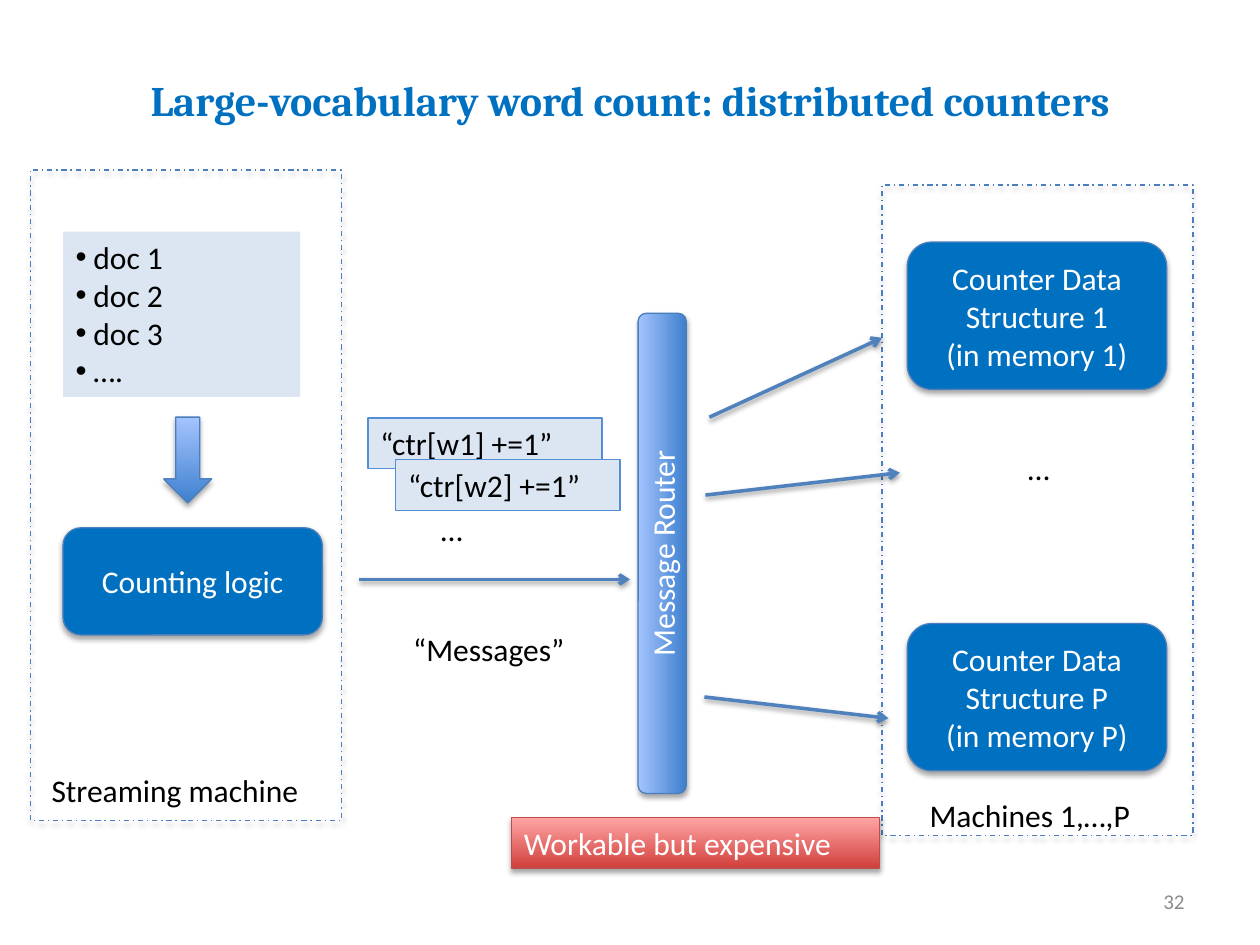
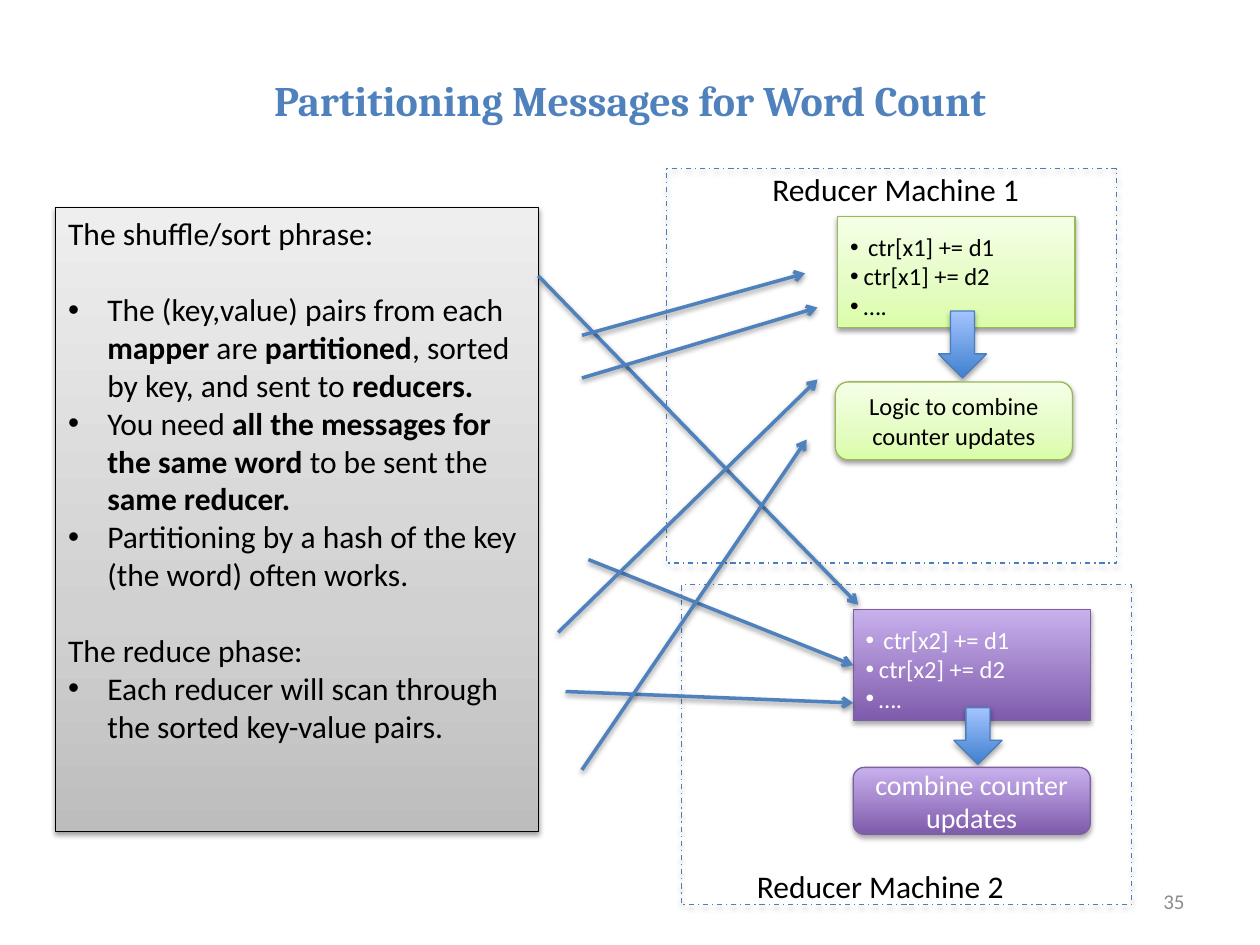
from dataclasses import dataclass

from lxml.etree import SubElement
from pptx import Presentation
from pptx.dml.color import RGBColor
from pptx.enum.dml import MSO_LINE
from pptx.enum.shapes import MSO_CONNECTOR, MSO_SHAPE
from pptx.enum.text import MSO_ANCHOR, MSO_AUTO_SIZE, PP_ALIGN
from pptx.oxml.ns import qn
from pptx.util import Cm, Pt


@dataclass(frozen=True)
class Theme:
    """Colours, fonts, type sizes and shadows shared by the slides."""
    title_font: str = "Cambria"
    body_font: str = "Calibri"
    title_pt: int = 24
    body_pt: int = 18
    logic_pt: int = 16
    small_pt: int = 14
    number_pt: int = 12
    line_pt: float = 0.75
    arrow_pt: float = 2
    blank_line_pt: int = 22
    black: str = "000000"
    white: str = "FFFFFF"
    grey: str = "8C8C8C"
    strong_blue: str = "0070C0"
    accent: str = "4F81BD"
    edge: str = "4B7EBC"
    pale: str = "DCE6F2"
    pale_edge: str = "558ED5"
    green_edge: str = "98B955"
    purple_edge: str = "7D60A0"
    red_edge: str = "BF4C48"
    blue_fade: tuple = ((0, "3F80CE"), (100, "A4C4FF"))
    red_fade: tuple = ((0, "D1403C"), (100, "FFA6A5"))
    purple_fade: tuple = ((0, "7F5BAB"), (100, "C8B0ED"))
    green_fade: tuple = ((0, "DAFDA7"), (35, "E4FCC2"), (100, "F5FFE7"))
    grey_fade: tuple = ((0, "BDBDBD"), (35, "D1D1D1"), (100, "EEEEEE"))
    soft_shadow: tuple = (35, 1.8)
    firm_shadow: tuple = (38, 1.6)


@dataclass(frozen=True)
class Para:
    """A paragraph whose runs alternate between regular and bold."""
    runs: tuple
    indent: float = 0
    before: float = 0
    bullet_pt: int = 0
    line_pt: float = 0


T = Theme()


def rgb(color):
    """Turn a hex string into a colour."""
    return RGBColor.from_string(color)


def cms(*values):
    """Turn numbers of centimetres into lengths."""
    return [Cm(v) for v in values]


def plain(*lines):
    """Make one unbulleted paragraph of each line."""
    return [Para((line,)) for line in lines]


def place(sp, box):
    """Move a shape to left, top, width, height."""
    sp.left, sp.top, sp.width, sp.height = cms(*box)


def add_shadow(effects, shadow):
    """Put a downward shadow into an effect list."""
    alpha, dist = shadow
    outer = SubElement(effects, qn("a:outerShdw"), blurRad=str(Pt(3.1)),
                       dist=str(Pt(dist)), dir="5400000", rotWithShape="0")
    clr = SubElement(outer, qn("a:srgbClr"), val=T.black)
    SubElement(clr, qn("a:alpha"), val=str(alpha * 1000))


def style(sp, fill=None, edge=None, shadow=None):
    """Set fill (none, solid or fade), outline and shadow."""
    if fill is None:
        sp.fill.background()
    elif isinstance(fill, str):
        sp.fill.solid()
        sp.fill.fore_color.rgb = rgb(fill)
    else:
        sp.fill.gradient()
        sp.fill.gradient_angle = 90
        stops = next(sp.element.iter(qn("a:gsLst")))
        stops.clear()
        for pos, color in fill:
            gs = SubElement(stops, qn("a:gs"), pos=str(pos * 1000))
            SubElement(gs, qn("a:srgbClr"), val=color)
    if edge:
        sp.line.color.rgb = rgb(edge)
        sp.line.width = Pt(T.line_pt)
    else:
        sp.line.fill.background()
    sp.shadow.inherit = False
    if shadow:
        add_shadow(next(sp.element.iter(qn("a:effectLst"))), shadow)


def set_bullet(p, para):
    """Give a paragraph its hanging bullet, or none."""
    pPr = p._p.get_or_add_pPr()
    pPr.set("marL", str(Cm(para.indent)))
    pPr.set("indent", str(-Cm(para.indent)))
    if not para.indent:
        SubElement(pPr, qn("a:buNone"))
        return
    if para.bullet_pt:
        SubElement(pPr, qn("a:buSzPts"), val=str(para.bullet_pt * 100))
    SubElement(pPr, qn("a:buFont"), typeface="Arial")
    SubElement(pPr, qn("a:buChar"), char="•")


def write(tf, paras, size=T.body_pt, color=T.black, align=PP_ALIGN.LEFT,
          anchor=MSO_ANCHOR.TOP, font=T.body_font):
    """Fill a text frame run by run."""
    tf.vertical_anchor = anchor
    for i, para in enumerate(paras):
        p = tf.add_paragraph() if i else tf.paragraphs[0]
        set_bullet(p, para)
        p.alignment = align
        p.space_before = Pt(para.before)
        if para.line_pt:
            p.line_spacing = Pt(para.line_pt)
        for k, text in enumerate(para.runs):
            r = p.add_run()
            r.text = text
            r.font.name, r.font.size = font, Pt(size)
            r.font.bold = k % 2 == 1
            r.font.color.rgb = rgb(color)


def add_box(s, kind, box, fill, edge, shadow=T.soft_shadow):
    """Add a styled preset shape."""
    sp = s.shapes.add_shape(kind, *cms(*box))
    style(sp, fill, edge, shadow)
    sp.text_frame.word_wrap = True
    return sp


def add_node(s, box, lines, fill=T.strong_blue, edge=T.edge, color=T.white,
             size=T.body_pt, shadow=T.soft_shadow):
    """Add a rounded box with centred text."""
    sp = add_box(s, MSO_SHAPE.ROUNDED_RECTANGLE, box, fill, edge, shadow)
    write(sp.text_frame, plain(*lines), size, color, PP_ALIGN.CENTER, MSO_ANCHOR.MIDDLE)
    return sp


def add_tag(s, box, text, fill=T.pale, edge=T.pale_edge, color=T.black, shadow=None):
    """Add a one-line rectangle with left-aligned text."""
    sp = add_box(s, MSO_SHAPE.RECTANGLE, box, fill, edge, shadow)
    write(sp.text_frame, plain(text), color=color)


def add_frame(s, box):
    """Add the dash-dot outline of a machine."""
    sp = add_box(s, MSO_SHAPE.RECTANGLE, box, None, T.edge)
    sp.line.dash_style = MSO_LINE.DASH_DOT


def add_down_arrow(s, box):
    """Add a block arrow pointing down."""
    add_box(s, MSO_SHAPE.DOWN_ARROW, box, T.blue_fade, T.edge)


def add_label(s, left, top, width, text):
    """Add an unwrapped line of text."""
    tf = s.shapes.add_textbox(*cms(left, top, width, 1.02)).text_frame
    tf.word_wrap = False
    tf.auto_size = MSO_AUTO_SIZE.SHAPE_TO_FIT_TEXT
    write(tf, plain(text))


def add_arrow(s, x1, y1, x2, y2):
    """Add a straight arrow with a shadow."""
    c = s.shapes.add_connector(MSO_CONNECTOR.STRAIGHT, *cms(x1, y1, x2, y2))
    c.line.color.rgb = rgb(T.accent)
    c.line.width = Pt(T.arrow_pt)
    SubElement(c.line._get_or_add_ln(), qn("a:tailEnd"), type="arrow")
    add_shadow(SubElement(c.element.spPr, qn("a:effectLst")), T.firm_shadow)
    return c


def add_slide(prs, title, color, number, body_box):
    """Start a slide with title and number; return it and its body placeholder."""
    s = prs.slides.add_slide(prs.slide_layouts[1])
    place(s.shapes.title, (1.27, 0.76, 22.86, 2.51))
    write(s.shapes.title.text_frame, [Para(("", title))], T.title_pt, color,
          PP_ALIGN.CENTER, MSO_ANCHOR.MIDDLE, T.title_font)
    tf = s.shapes.add_textbox(*cms(18.21, 17.65, 5.92, 1.02)).text_frame
    tf.word_wrap = True
    write(tf, plain(str(number)), T.number_pt, T.grey, PP_ALIGN.RIGHT, MSO_ANCHOR.MIDDLE)
    body = s.placeholders[1]
    place(body, body_box)
    body.text_frame.auto_size = MSO_AUTO_SIZE.NONE
    return s, body


def add_reducer(s, frame, label, updates, updates_box, arrow_box, logic, logic_box,
                logic_pt, look):
    """Add a reducer machine and return its list of updates."""
    fill, edge, color, shadow = look
    sp = add_box(s, MSO_SHAPE.RECTANGLE, updates_box, fill, edge, shadow)
    first, *rest = updates
    paras = [Para((first,), 0.36, bullet_pt=T.body_pt, line_pt=T.blank_line_pt)]
    paras += [Para((u,), 0.27) for u in rest]
    write(sp.text_frame, paras, T.small_pt, color)
    add_down_arrow(s, arrow_box)
    add_node(s, logic_box, [logic], fill, edge, color, logic_pt, shadow)
    add_frame(s, frame)
    add_label(s, *label)
    return sp


def build_counters(prs):
    """Build the slide on distributed counters."""
    s, docs = add_slide(prs, "Large-vocabulary word count: distributed counters",
                        T.strong_blue, 32, (1.27, 4.67, 4.78, 3.33))
    style(docs, T.pale)
    write(docs.text_frame, [Para((d,), 0.36) for d in ("doc 1", "doc 2", "doc 3", "….")])
    add_down_arrow(s, (3.3, 8.41, 0.97, 1.73))
    add_node(s, (1.27, 10.64, 5.23, 2.16), ["Counting logic"])
    add_tag(s, (7.42, 8.43, 4.72, 1.02), "“ctr[w1] +=1”")
    add_tag(s, (7.98, 9.27, 4.52, 1.02), "“ctr[w2] +=1”")
    for name, top in (("1", 4.88), ("P", 12.57)):
        add_node(s, (18.29, top, 5.23, 2.97),
                 [f"Counter Data Structure {name}", f"(in memory {name})"])
    for left, top in ((0.61, 3.43), (17.78, 3.73)):
        add_frame(s, (left, top, 6.27, 13.11))
    router = add_node(s, (8.51, 10.67, 9.68, 0.97), ["Message Router"], T.blue_fade)
    router.rotation = 270
    for ends in ((7.24, 11.68, 12.7, 11.68), (14.3, 8.41, 17.78, 6.81),
                 (14.2, 14.05, 17.91, 14.48), (14.22, 9.98, 18.14, 9.53)):
        add_arrow(s, *ends)
    for label in ((0.79, 15.42, 5.99, "Streaming machine"), (8.08, 12.57, 3.86, "“Messages”"),
                  (8.64, 10.16, 1.14, "…"), (20.47, 8.92, 1.14, "…"),
                  (18.49, 15.93, 5.08, "Machines 1,…,P")):
        add_label(s, *label)
    add_tag(s, (10.31, 16.48, 7.42, 1.02), "Workable but expensive", T.red_fade,
            T.red_edge, T.white, T.soft_shadow)


def build_partitioning(prs):
    """Build the slide on partitioning messages."""
    s, phases = add_slide(prs, "Partitioning Messages for Word Count", T.accent, 35,
                          (1.12, 4.19, 9.73, 12.57))
    style(phases, T.grey_fade, T.black, T.firm_shadow)
    gap, hang = T.blank_line_pt, 0.79
    write(phases.text_frame, [
        Para(("The shuffle/sort phrase:",)),
        Para(("The (key,value) pairs from each", " mapper ", "are ", "partitioned",
              ", sorted by key, and sent to ", "reducers."), hang, gap),
        Para(("You need ", "all the messages for the same word ", "to be sent the ",
              "same reducer."), hang),
        Para(("Partitioning by a hash of the key (the word) often works.",), hang),
        Para(("The reduce phase:",), before=gap),
        Para(("Each reducer will scan through the sorted key-value pairs.",), hang),
    ])
    add_reducer(s, (13.44, 3.4, 9.07, 7.95), (15.32, 3.3, 5.97, "Reducer Machine 1"),
                ("ctr[x1] += d1", "ctr[x1] += d2", "…."), (16.89, 4.37, 4.78, 2.24),
                (18.92, 6.27, 0.97, 1.35), "Logic to combine counter updates",
                (16.84, 7.7, 4.78, 1.57), T.small_pt,
                (T.green_fade, T.green_edge, T.black, T.firm_shadow))
    updates = add_reducer(
        s, (13.74, 11.79, 9.07, 6.45), (15.01, 17.35, 5.97, "Reducer Machine 2"),
        ("ctr[x2] += d1", "ctr[x2] += d2", "…."), (17.2, 12.29, 4.78, 2.24),
        (19.23, 14.27, 0.97, 1.14), "combine counter updates",
        (17.2, 15.47, 4.78, 1.35), T.logic_pt,
        (T.purple_fade, T.purple_edge, T.white, T.soft_shadow))
    add_arrow(s, 11.86, 11.28, 17.2, 13.41).end_connect(updates, 1)
    for ends in ((11.4, 13.94, 17.2, 14.17), (10.85, 5.56, 17.3, 12.19),
                 (11.73, 6.76, 16.23, 5.51), (11.73, 7.62, 16.48, 6.2),
                 (11.25, 12.75, 16.48, 7.65), (11.73, 15.52, 16.26, 8.86)):
        add_arrow(s, *ends)


def main():
    """Build and save the presentation."""
    prs = Presentation()
    prs.slide_width, prs.slide_height = cms(25.4, 19.05)
    build_counters(prs)
    build_partitioning(prs)
    prs.save("out.pptx")


if __name__ == "__main__":
    main()
